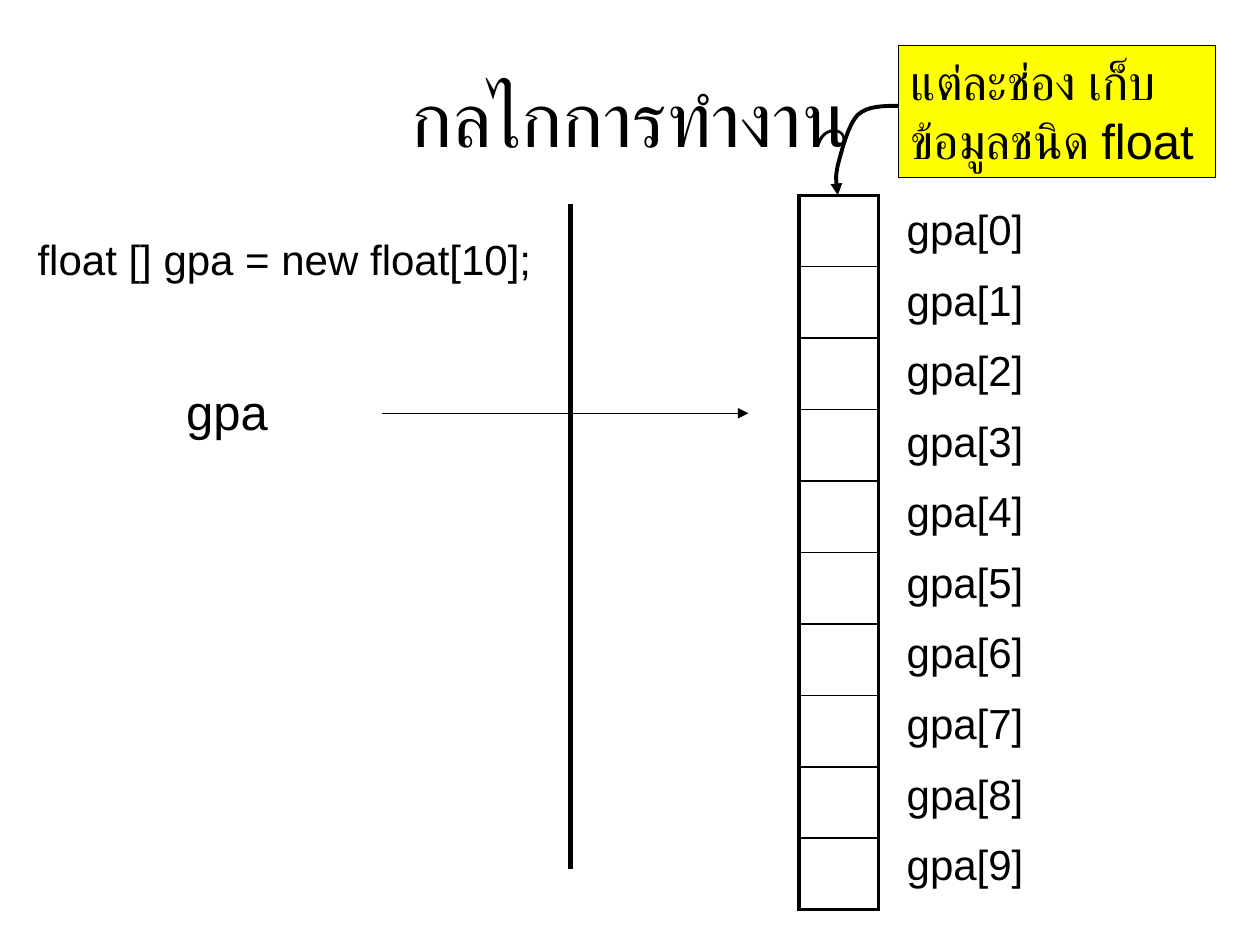
from typing import NamedTuple

from lxml import etree
from pptx import Presentation
from pptx.dml.color import RGBColor
from pptx.enum.shapes import MSO_CONNECTOR, MSO_SHAPE
from pptx.enum.text import MSO_ANCHOR, PP_ALIGN
from pptx.oxml.ns import qn
from pptx.util import Inches, Pt

BLACK = RGBColor(0, 0, 0)
WHITE = RGBColor(255, 255, 255)
YELLOW = RGBColor(255, 255, 0)
FONT = "Arial"
LEFT, CENTER = PP_ALIGN.LEFT, PP_ALIGN.CENTER
TOP, MIDDLE = MSO_ANCHOR.TOP, MSO_ANCHOR.MIDDLE
STRAIGHT, RECT = MSO_CONNECTOR.STRAIGHT, MSO_SHAPE.RECTANGLE

COUNT = 10
ROW = 0.567
THICK, THIN = 2.25, 1


class Label(NamedTuple):
    text: str
    left: float
    top: float
    width: float
    height: float
    size: int = 24
    align: PP_ALIGN = LEFT
    anchor: MSO_ANCHOR = TOP
    wrap: bool = True


class Rule(NamedTuple):
    start: tuple[float, float]
    end: tuple[float, float]
    width: float
    arrow: bool = False


LABELS = [
    Label("float [] gpa = new float[10];", 0.2, 1.8, 4.88, 0.51),
    Label("gpa", 1.38, 2.98, 1.73, 0.57, 28),
] + [
    Label(f"gpa[{i}]", 7.03, 1.62 + 0.56 * i, 1.26, 0.39, 24, CENTER, MIDDLE, False)
    for i in range(COUNT)
]
NOTE = Label("แต่ละช่อง เก็บข้อมูลชนิด float", 7.13, 0.36, 2.52, 1.05, 28)
TITLE = Label("กลไกการทำงาน", 0.5, 0.3, 9, 1.25, 44, CENTER, MIDDLE)
ARROW = Rule((3.03, 3.28), (5.94, 3.28), 0.75, True)
DIVIDER = Rule((4.53, 1.62), (4.53, 6.9), 3)
CURVE = [
    (7.13, 0.84),
    (7.01, 0.84), (6.89, 0.84), (6.81, 0.91),
    (6.73, 0.99), (6.68, 1.2), (6.65, 1.31),
    (6.63, 1.41), (6.64, 1.48), (6.65, 1.55),
]


def box(item: Label) -> tuple:
    return tuple(Inches(v) for v in item[1:5])


def write(shape, item: Label) -> None:
    frame = shape.text_frame
    frame.text = item.text
    frame.word_wrap = item.wrap
    frame.vertical_anchor = item.anchor
    para = frame.paragraphs[0]
    para.alignment = item.align
    para.font.name = FONT
    para.font.size = Pt(item.size)
    para.font.color.rgb = BLACK


def stroke(shape, width: float, arrow: bool = False) -> None:
    shape.line.color.rgb = BLACK
    shape.line.width = Pt(width)
    if arrow:
        tail = etree.SubElement(shape.line._get_or_add_ln(), qn("a:tailEnd"))
        tail.set("type", "triangle")


def add_rule(shapes, rule: Rule) -> None:
    ends = [Inches(v) for v in rule.start + rule.end]
    line = shapes.add_connector(STRAIGHT, *ends)
    stroke(line, rule.width, rule.arrow)
    etree.SubElement(line._element.spPr, qn("a:effectLst"))


def add_curve(shapes, points: list[tuple[float, float]]) -> None:
    """Draw a start point and then triples of Bezier points, with an arrowhead."""
    spots = [(Inches(x), Inches(y)) for x, y in points]
    pen = shapes.build_freeform(*spots[0])
    pen.add_line_segments(spots[1:], close=False)
    shape = pen.convert_to_shape()
    shape.shadow.inherit = False
    shape.fill.background()
    stroke(shape, THICK, True)
    route = shape._element.spPr.find(".//" + qn("a:path"))
    steps = route.findall(qn("a:lnTo"))
    for i in range(0, len(steps), 3):
        bend = etree.SubElement(route, qn("a:cubicBezTo"))
        for step in steps[i:i + 3]:
            bend.append(step[0])
            route.remove(step)


def add_edge(cell, side: str, width: float) -> None:
    edge = etree.SubElement(cell._tc.get_or_add_tcPr(), qn(f"a:{side}"))
    edge.set("w", str(Pt(width)))
    fill = etree.SubElement(edge, qn("a:solidFill"))
    etree.SubElement(fill, qn("a:srgbClr")).set("val", str(BLACK))


def add_array(shapes) -> None:
    frame = shapes.add_table(COUNT, 1, Inches(6.34), Inches(1.55),
                             Inches(0.63), Inches(ROW * COUNT))
    table = frame.table
    table.first_row = table.horz_banding = False
    for i, row in enumerate(table.rows):
        row.height = Inches(ROW)
        cell = row.cells[0]
        add_edge(cell, "lnL", THICK)
        add_edge(cell, "lnR", THICK)
        add_edge(cell, "lnT", THICK if i == 0 else THIN)
        add_edge(cell, "lnB", THICK if i == COUNT - 1 else THIN)
        cell.fill.solid()
        cell.fill.fore_color.rgb = WHITE


def main() -> None:
    deck = Presentation()
    deck.slide_width, deck.slide_height = Inches(10), Inches(7.5)
    slide = deck.slides.add_slide(deck.slide_layouts[5])
    shapes = slide.shapes

    title = shapes.title
    title.left, title.top, title.width, title.height = box(TITLE)
    write(title, TITLE)

    add_rule(shapes, ARROW)
    add_array(shapes)
    for item in LABELS:
        write(shapes.add_textbox(*box(item)), item)

    note = shapes.add_shape(RECT, *box(NOTE))
    note.shadow.inherit = False
    note.fill.solid()
    note.fill.fore_color.rgb = YELLOW
    stroke(note, 0.75)
    write(note, NOTE)

    add_curve(shapes, CURVE)
    add_rule(shapes, DIVIDER)
    deck.save("out.pptx")


if __name__ == "__main__":
    main()
